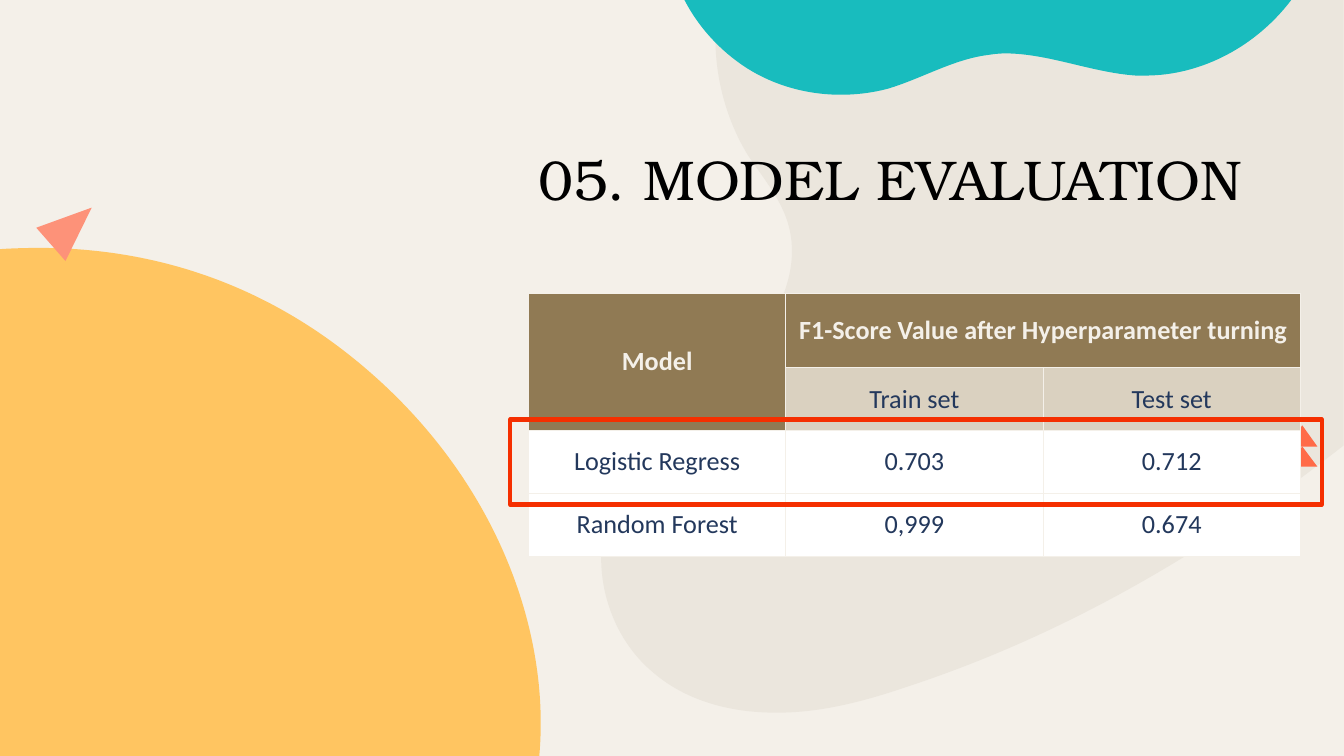
"""Build the model evaluation slide with its score table."""
import pptx
import pptx.util
import pptx.dml.color
import pptx.enum.shapes
import pptx.enum.text
import pptx.oxml.ns
import lxml.etree

Pt = pptx.util.Pt
RGB = pptx.dml.color.RGBColor
ALIGN = pptx.enum.text.PP_ALIGN
ANCHOR = pptx.enum.text.MSO_ANCHOR
qn = pptx.oxml.ns.qn
CREAM = RGB(0xF4, 0xF0, 0xE9)
AMBER = RGB(0xFF, 0xC5, 0x61)
STONE = RGB(0xEB, 0xE6, 0xDD)
TEAL = RGB(0x18, 0xBC, 0xBE)
PINK = RGB(0xFD, 0x92, 0x79)
CORAL = RGB(0xFF, 0x6B, 0x48)
BROWN = RGB(0x90, 0x7A, 0x54)
SAND = RGB(0xDA, 0xD1, 0xC0)
WHITE = RGB(0xFF, 0xFF, 0xFF)
NAVY = RGB(0x23, 0x38, 0x5C)
BLACK = RGB(0, 0, 0)
RED = RGB(0xF5, 0x2F, 0x00)
UNIT = Pt(0.72)


def write(frame, text, size=18.7, font="Calibri", color=NAVY, bold=False,
          align=ALIGN.CENTER):
    para = frame.paragraphs[0]
    para.alignment = align
    run = para.add_run()
    run.text = text
    run.font.size = Pt(size)
    run.font.name = font
    run.font.color.rgb = color
    run.font.bold = bold


deck = pptx.Presentation()
deck.slide_width = Pt(960)
deck.slide_height = Pt(540)
slide = deck.slides.add_slide(deck.slide_layouts[5])
shapes = slide.shapes
slide.background.fill.solid()
slide.background.fill.fore_color.rgb = CREAM

blobs = [
    (AMBER, (39, 246), [
        (9, 246, -19, 248, -45, 252), (-58, 254, -70, 256, -83, 259),
        (-83, 750), (535, 750),
        (546, 629, 495, 482, 369, 371), (259, 274, 140, 246, 39, 246)]),
    (STONE, (713, 0), [
        (704, 52, 714, 108, 742, 154), (756, 175, 773, 195, 781, 219),
        (799, 274, 763, 332, 721, 372), (679, 412, 629, 447, 607, 500),
        (583, 557, 601, 629, 649, 668), (682, 696, 726, 707, 769, 707),
        (770, 707, 771, 707, 772, 707), (816, 707, 860, 695, 901, 681),
        (1059, 629, 1203, 544, 1333, 442), (1333, 0)]),
    (TEAL, (679, 0), [
        (693, 27, 714, 50, 740, 67), (768, 85, 801, 94, 834, 94),
        (850, 94, 866, 92, 881, 88), (914, 78, 944, 60, 977, 55),
        (984, 54, 990, 53, 997, 53), (1040, 53, 1083, 72, 1127, 75),
        (1130, 75, 1133, 75, 1136, 75), (1193, 75, 1247, 45, 1281, 0)]),
    (PINK, (91, 206), [(36, 226), (65, 259)]),
    (CORAL, (1292, 422), [(1277, 443), (1307, 443)]),
    (CORAL, (1292, 443), [(1277, 463), (1307, 463)]),
]
for color, start, parts in blobs:
    ends = [part[-2:] for part in parts]
    pen = shapes.build_freeform(*start, scale=UNIT)
    pen.add_line_segments(ends, close=True)
    blob = pen.convert_to_shape()
    left = min(x for x, y in [start] + ends)
    top = min(y for x, y in [start] + ends)
    for leg, part in zip(list(blob.element.iter(qn("a:lnTo"))), parts):
        if len(part) == 6:
            leg.tag = qn("a:cubicBezTo")
            for spot in (0, 1):
                x, y = part[2 * spot:2 * spot + 2]
                knot = lxml.etree.Element(qn("a:pt"), x=str(x - left), y=str(y - top))
                leg.insert(spot, knot)
    blob.shadow.inherit = False
    blob.fill.solid()
    blob.fill.fore_color.rgb = color
    blob.line.fill.background()

rows = [
    ["Model", "F1-Score Value after Hyperparameter turning", ""],
    ["", "Train set", "Test set"],
    ["Logistic Regress", "0.703", "0.712"],
    ["Random Forest", "0,999", "0.674"],
]
fills = [BROWN, SAND, WHITE, WHITE]
high = [53.1, 44.9, 44.9, 44.9]
grid = shapes.add_table(4, 3, Pt(377.5), Pt(209.5), Pt(551.4), Pt(sum(high))).table
for col in grid.columns:
    col.width = Pt(183.8)
grid.cell(0, 0).merge(grid.cell(1, 0))
grid.cell(0, 1).merge(grid.cell(0, 2))
for r, row in enumerate(rows):
    grid.rows[r].height = Pt(high[r])
    for c, text in enumerate(row):
        cell = grid.cell(r, c)
        cell.fill.solid()
        cell.fill.fore_color.rgb = BROWN if r < 2 and c == 0 else fills[r]
        cell.vertical_anchor = ANCHOR.MIDDLE
        if text:
            write(cell.text_frame, text, color=CREAM if r == 0 else NAVY, bold=r == 0)
        props = cell._tc.get_or_add_tcPr()
        for spot, side in enumerate(("a:lnL", "a:lnR", "a:lnT", "a:lnB")):
            edge = lxml.etree.Element(qn(side), w=str(Pt(1)))
            fill = lxml.etree.SubElement(edge, qn("a:solidFill"))
            lxml.etree.SubElement(fill, qn("a:srgbClr"), val=str(CREAM))
            props.insert(spot, edge)

title = shapes.title
title.left, title.top, title.width, title.height = Pt(377.5), Pt(99.5), Pt(642), Pt(80)
title.text_frame.auto_size = pptx.enum.text.MSO_AUTO_SIZE.NONE
title.text_frame.word_wrap = True
title.text_frame.vertical_anchor = ANCHOR.TOP
write(title.text_frame, "05. MODEL EVALUATION", size=40, font="TeX Gyre Bonum",
      color=BLACK, align=ALIGN.LEFT)
shapes.element.append(title.element)

frame = shapes.add_shape(pptx.enum.shapes.MSO_SHAPE.RECTANGLE,
                         Pt(364.4), Pt(299.7), Pt(579.8), Pt(60.7))
frame.shadow.inherit = False
frame.fill.background()
frame.line.color.rgb = RED
frame.line.width = Pt(3)

deck.save("out.pptx")
